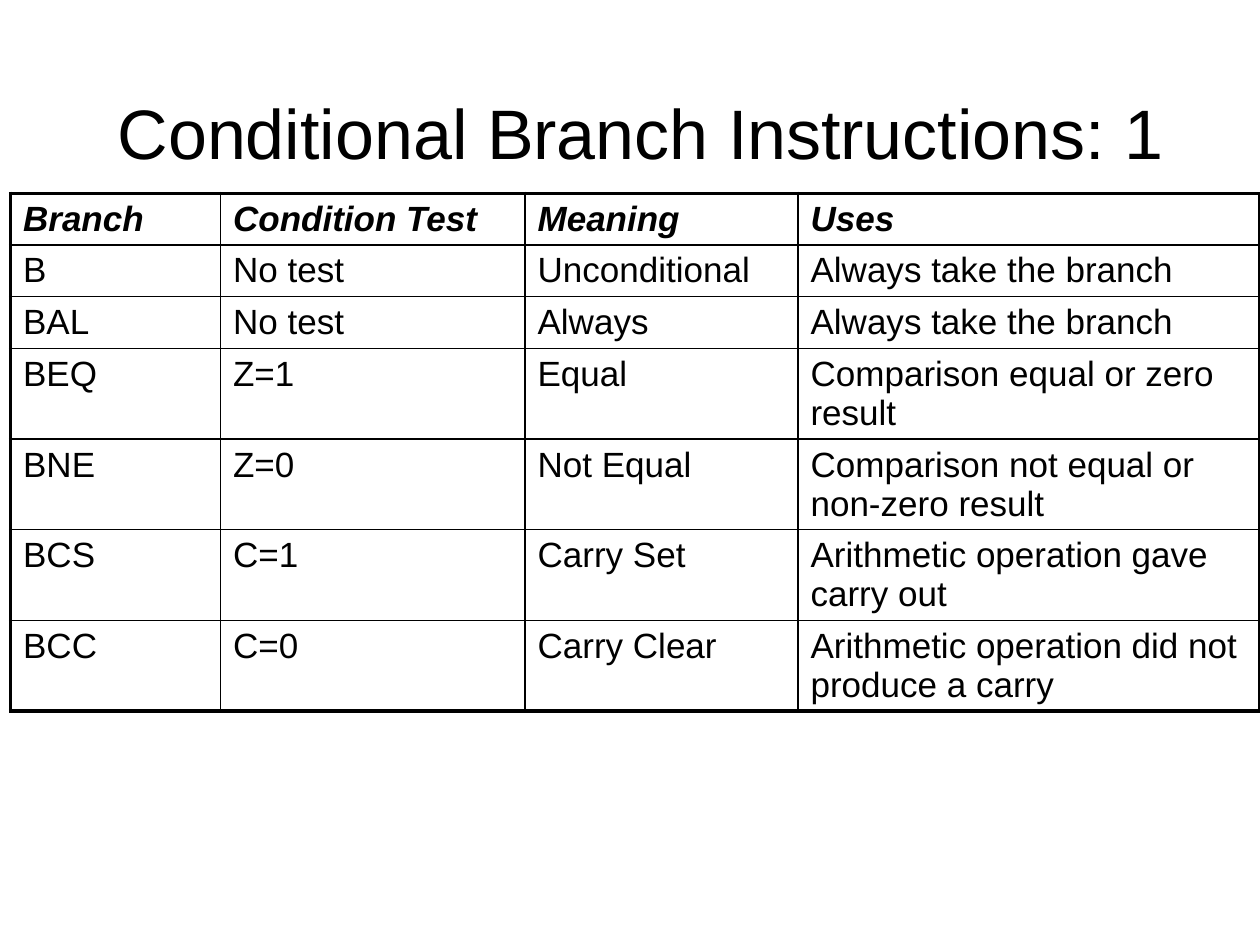
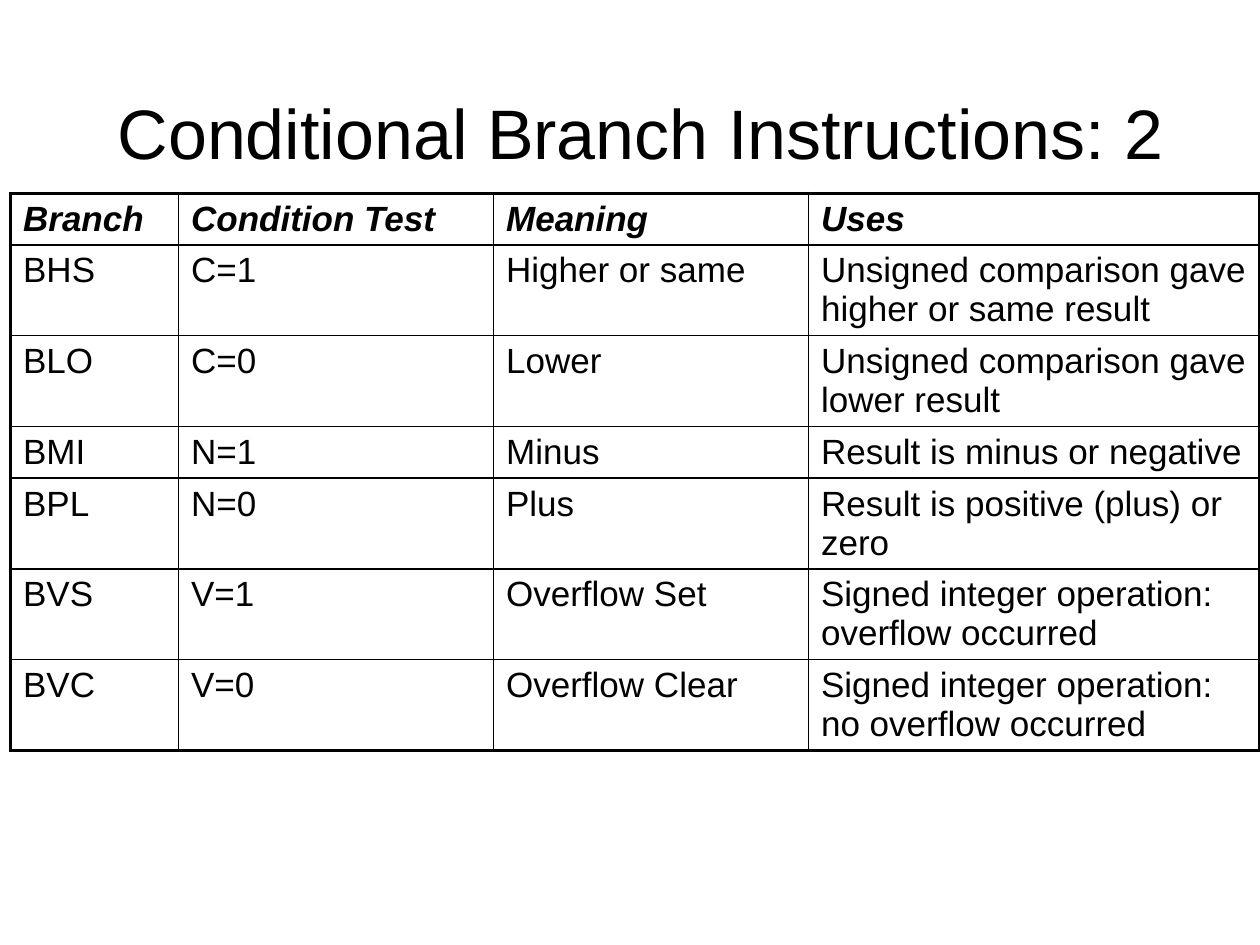
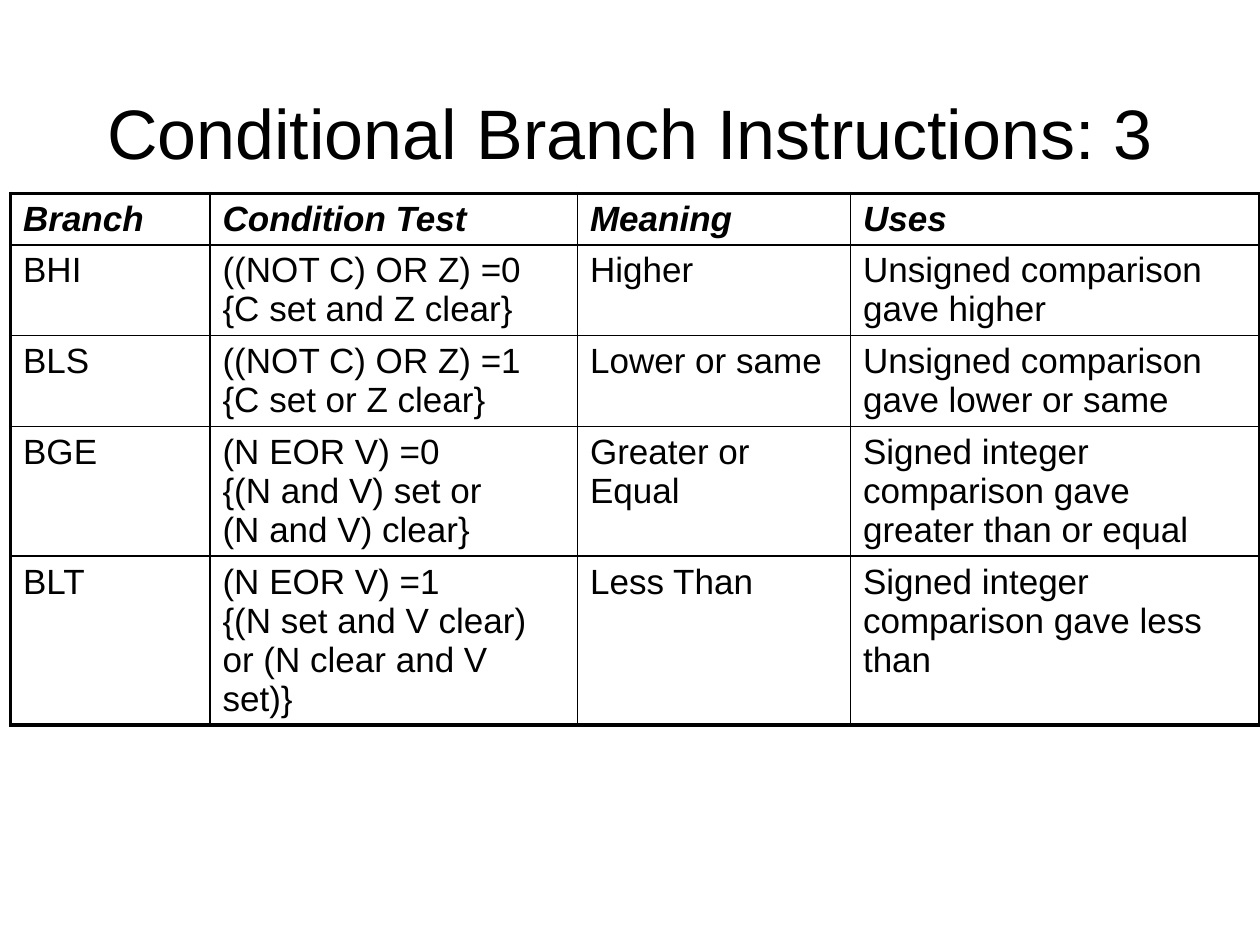
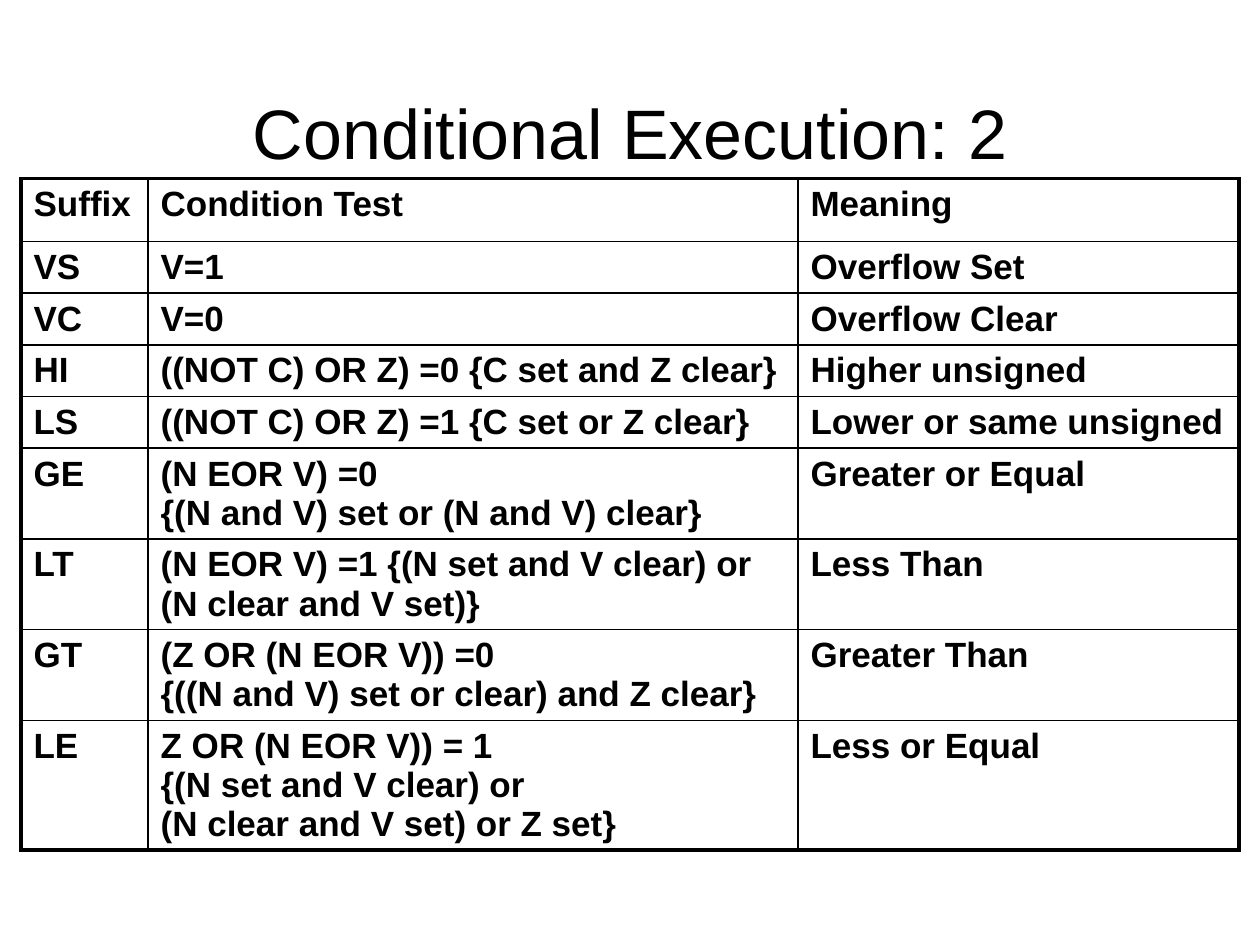
import dataclasses
import lxml.etree
import pptx
import pptx.dml.color
import pptx.enum.text
import pptx.oxml.ns
import pptx.util

CELLS_PER_INCH = 12
COLUMNS, ROWS = 120, 90
ROW_HEIGHT = 3.1
TITLE_ONLY = 5


@dataclasses.dataclass(frozen=True)
class Theme:
    font: str = "Arial"
    ink: str = "000000"
    title_size: int = 40
    cell_size: int = 20
    cell_space: int = 4
    outer_line: float = 2.25
    inner_line: float = 1


THEME = Theme()

BRANCH_HEADER = ("Branch", "Condition Test", "Meaning", "Uses")

BASIC_BRANCHES = [
    BRANCH_HEADER,
    ("B", "No test", "Unconditional", "Always take the branch"),
    ("BAL", "No test", "Always", "Always take the branch"),
    ("BEQ", "Z=1", "Equal", "Comparison equal or zero result"),
    ("BNE", "Z=0", "Not Equal", "Comparison not equal or non-zero result"),
    ("BCS", "C=1", "Carry Set", "Arithmetic operation gave carry out"),
    ("BCC", "C=0", "Carry Clear", "Arithmetic operation did not produce a carry"),
]

FLAG_BRANCHES = [
    BRANCH_HEADER,
    ("BHS", "C=1", "Higher or same", "Unsigned comparison gave higher or same result"),
    ("BLO", "C=0", "Lower", "Unsigned comparison gave lower result"),
    ("BMI", "N=1", "Minus", "Result is minus or negative"),
    ("BPL", "N=0", "Plus", "Result is positive (plus) or zero"),
    ("BVS", "V=1", "Overflow Set", "Signed integer operation: overflow occurred"),
    ("BVC", "V=0", "Overflow Clear", "Signed integer operation: no overflow occurred"),
]

COMPARISON_BRANCHES = [
    BRANCH_HEADER,
    ("BHI", "((NOT C) OR Z) =0\n{C set and Z clear}", "Higher",
     "Unsigned comparison gave higher"),
    ("BLS", "((NOT C) OR Z) =1\n{C set or Z clear}", "Lower or same",
     "Unsigned comparison gave lower or same"),
    ("BGE", "(N EOR V) =0\n{(N and V) set or\n(N and V) clear}", "Greater or Equal",
     "Signed integer comparison gave greater than or equal"),
    ("BLT", "(N EOR V) =1\n{(N set and V clear) or (N clear and V set)}", "Less Than",
     "Signed integer comparison gave less than"),
]

SUFFIXES = [
    ("Suffix", "Condition Test", "Meaning"),
    ("VS", "V=1", "Overflow Set"),
    ("VC", "V=0", "Overflow Clear"),
    ("HI", "((NOT C) OR Z) =0 {C set and Z clear}", "Higher unsigned"),
    ("LS", "((NOT C) OR Z) =1 {C set or Z clear}", "Lower or same unsigned"),
    ("GE", "(N EOR V) =0\n{(N and V) set or (N and V) clear}", "Greater or Equal"),
    ("LT", "(N EOR V) =1 {(N set and V clear) or\n(N clear and V set)}", "Less Than"),
    ("GT", "(Z OR (N EOR V)) =0\n{((N and V) set or clear) and Z clear}", "Greater Than"),
    ("LE", "Z OR (N EOR V)) = 1\n{(N set and V clear) or\n(N clear and V set) or Z set}",
     "Less or Equal"),
]


def grid(cells):
    return pptx.util.Inches(cells / CELLS_PER_INCH)


def set_font(p, size, bold=False, italic=False):
    font = p.font
    font.name = THEME.font
    font.size = pptx.util.Pt(size)
    font.bold = bold
    font.italic = italic
    font.color.rgb = pptx.dml.color.RGBColor.from_string(THEME.ink)


def add_titled_slide(prs, text, left, width):
    s = prs.slides.add_slide(prs.slide_layouts[TITLE_ONLY])
    title = s.shapes.title
    title.left, title.top, title.width, title.height = map(grid, (left, 5, width, 15))
    tf = title.text_frame
    tf.word_wrap = True
    tf.auto_size = pptx.enum.text.MSO_AUTO_SIZE.NONE
    tf.vertical_anchor = pptx.enum.text.MSO_ANCHOR.MIDDLE
    p = tf.paragraphs[0]
    p.text = text
    p.alignment = pptx.enum.text.PP_ALIGN.CENTER
    set_font(p, THEME.title_size)
    return s


def set_borders(cell, outer_sides):
    qn = pptx.oxml.ns.qn
    tc_pr = cell._tc.get_or_add_tcPr()
    for side in "LRTB":
        width = THEME.outer_line if side in outer_sides else THEME.inner_line
        line = lxml.etree.SubElement(tc_pr, qn(f"a:ln{side}"), w=str(pptx.util.Pt(width)))
        fill = lxml.etree.SubElement(line, qn("a:solidFill"))
        lxml.etree.SubElement(fill, qn("a:srgbClr"), val=THEME.ink)


def outer_sides(row, col, row_count, col_count):
    edges = {"L": col == 0, "R": col == col_count - 1,
             "T": row == 0, "B": row == row_count - 1}
    return {side for side, is_outer in edges.items() if is_outer}


def fill_cell(cell, text, sides, bold, italic):
    p = cell.text_frame.paragraphs[0]
    p.text = text
    p.space_before = pptx.util.Pt(THEME.cell_space)
    set_font(p, THEME.cell_size, bold, italic)
    set_borders(cell, sides)
    cell.fill.background()


def add_grid_table(s, rows, widths, left, top, height,
                   header_height=ROW_HEIGHT, bold_body=False, italic_header=True):
    frame = s.shapes.add_table(len(rows), len(widths), grid(left), grid(top),
                               grid(sum(widths)), grid(height))
    table = frame.table
    table.first_row = table.horz_banding = False
    for column, width in zip(table.columns, widths):
        column.width = grid(width)
    for i, values in enumerate(rows):
        is_header = i == 0
        table.rows[i].height = grid(header_height if is_header else ROW_HEIGHT)
        for j, text in enumerate(values):
            fill_cell(table.cell(i, j), text, outer_sides(i, j, len(rows), len(widths)),
                      bold=is_header or bold_body, italic=is_header and italic_header)
    frame.height = grid(height)


def add_branch_slide(prs, number, rows, widths, height, title_left=5, title_width=112):
    s = add_titled_slide(prs, f"Conditional Branch Instructions: {number}",
                         title_left, title_width)
    add_grid_table(s, rows, widths, left=1, top=18.4, height=height)


def add_suffix_slide(prs):
    s = add_titled_slide(prs, "Conditional Execution: 2", 9, 102)
    add_grid_table(s, SUFFIXES, (12.1, 61.9, 42), left=2, top=17, height=67.4,
                   header_height=6, bold_body=True, italic_header=False)


def main():
    prs = pptx.Presentation()
    prs.slide_width, prs.slide_height = grid(COLUMNS), grid(ROWS)
    add_branch_slide(prs, 1, BASIC_BRANCHES, (20, 29, 26, 44), 52.3)
    add_branch_slide(prs, 2, FLAG_BRANCHES, (16, 30, 30, 43), 56.3)
    add_branch_slide(prs, 3, COMPARISON_BRANCHES, (19, 35, 26, 39), 53.9,
                     title_left=6, title_width=108)
    add_suffix_slide(prs)
    prs.save("out.pptx")


main()
